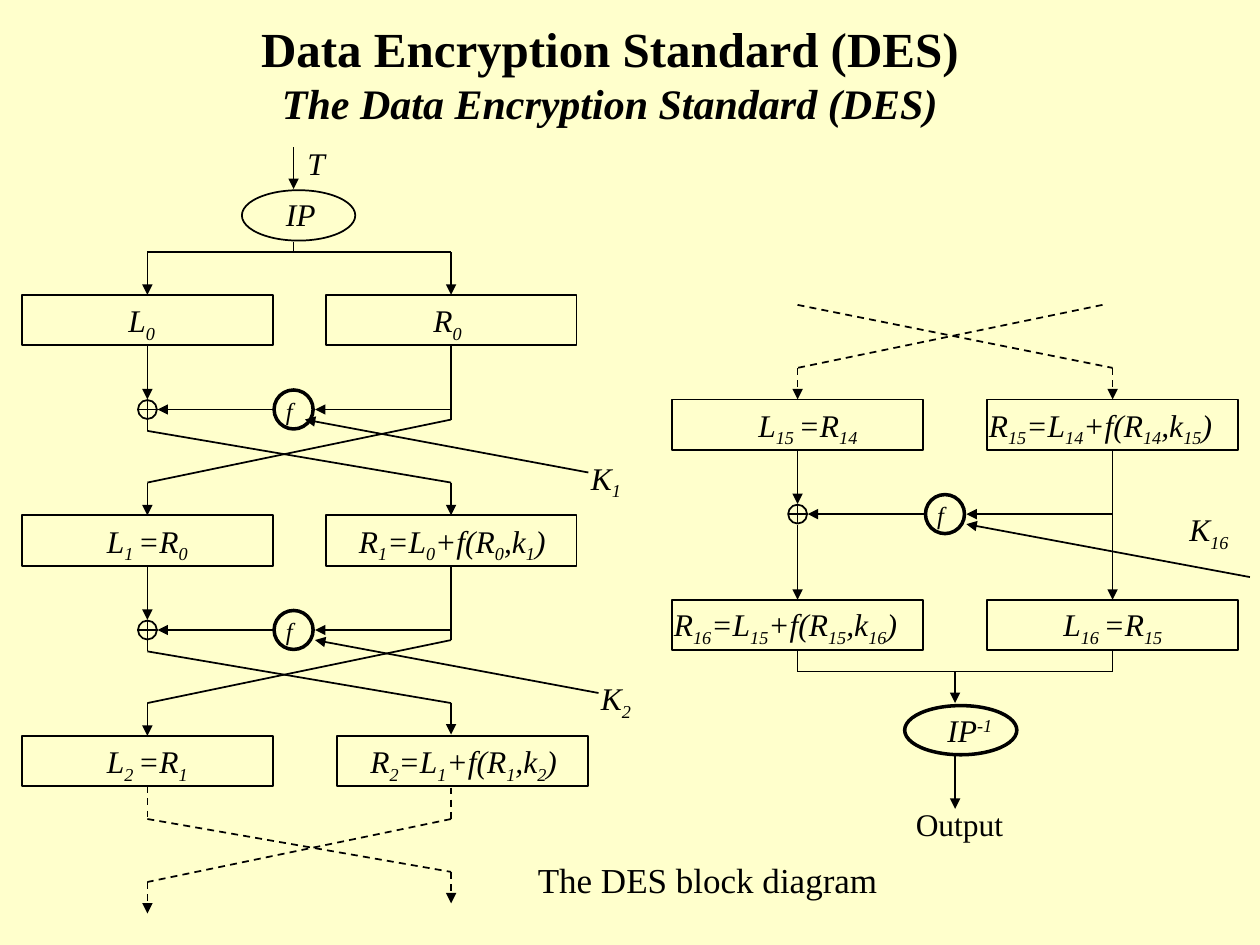
from dataclasses import dataclass
from itertools import pairwise

from lxml import etree
from pptx import Presentation
from pptx.dml.color import RGBColor
from pptx.enum import dml, shapes, text
from pptx.oxml import ns
from pptx.util import Inches, Pt


@dataclass(frozen=True)
class Theme:
    background: RGBColor = RGBColor(0xFF, 0xFF, 0xCC)
    ink: RGBColor = RGBColor(0, 0, 0)
    font: str = "Times New Roman"
    title: int = 28
    subtitle: int = 24
    caption: int = 20
    label: int = 18
    function: int = 14
    thin: int = 1
    thick: int = 2


THEME = Theme()
TOP, BOTTOM = 0, 2  # connection sites
BOX_W, BOX_H = 1.99, 0.4
LEFT_X, RIGHT_X, F_X = 1.17, 3.58, 2.33  # first rounds
LAST_LEFT_X, LAST_RIGHT_X, LAST_F_X = 6.33, 8.83, 7.5  # last round
ROUND_TOPS = (2.33, 4.08, 5.83)
LAST_TOP, SWAP_TOP = 3.16, 4.75


def style_run(run, size, bold=False, italic=False):
    font = run.font
    font.name, font.size = THEME.font, Pt(size)
    font.bold, font.italic = bold, italic
    font.color.rgb = THEME.ink


def add_label(slide, content, left, top, width, size=THEME.label, italic=True,
              shift=-25000):
    """Text in which every second part between underscores is shifted."""
    height = size * 1.15 / 72 + 0.1
    box = slide.shapes.add_textbox(*map(Inches, (left, top, width, height)))
    box.text_frame.word_wrap = True
    paragraph = box.text_frame.paragraphs[0]
    for index, part in enumerate(content.split("_")):
        if not part:
            continue
        run = paragraph.add_run()
        run.text = part
        style_run(run, size, italic=italic)
        if index % 2:
            run.font._element.set("baseline", str(shift))
    return paragraph


def add_outline(slide, kind, left, top, width, height, weight=THEME.thin):
    outline = slide.shapes.add_shape(
        kind, *map(Inches, (left, top, width, height)))
    outline.shadow.inherit = False
    outline.fill.background()
    outline.line.color.rgb = THEME.ink
    outline.line.width = Pt(weight)
    return outline


def add_block(slide, center, top):
    return add_outline(slide, shapes.MSO_SHAPE.RECTANGLE,
                       center - BOX_W / 2, top + 0.01, BOX_W, BOX_H)


def add_circle(slide, x, y, diameter, weight=THEME.thin):
    return add_outline(slide, shapes.MSO_SHAPE.OVAL, x - diameter / 2,
                       y - diameter / 2, diameter, diameter, weight)


def add_path(slide, *points, arrow=True, dashed=False, source=None, target=None):
    """Straight lines through the points, from source block to target block."""
    for start, end in pairwise(points):
        line = slide.shapes.add_connector(
            shapes.MSO_CONNECTOR.STRAIGHT, *map(Inches, (*start, *end)))
        line.line.color.rgb = THEME.ink
        line.line.width = Pt(THEME.thin)
        if dashed:
            line.line.dash_style = dml.MSO_LINE.DASH
        if source is not None and start == points[0]:
            line.begin_connect(source, BOTTOM)
        if end == points[-1]:
            if target is not None:
                line.end_connect(target, TOP)
            if arrow:
                etree.SubElement(line.get_or_add_ln(), ns.qn("a:tailEnd"),
                                 type="triangle")
        etree.SubElement(line._element.spPr, ns.qn("a:effectLst"))


def add_mixing(slide, left, right, f_x, y, key_tip):
    """Right half and key go through f and are added to the left half."""
    add_circle(slide, left, y, 0.15)
    add_path(slide, (left - 0.08, y), (left + 0.08, y), arrow=False)
    add_path(slide, (left, y - 0.08), (left, y + 0.08), arrow=False)
    add_circle(slide, f_x, y, 0.31, THEME.thick)
    add_label(slide, "f", f_x - 0.16, y - 0.16, 0.33, THEME.function)
    add_path(slide, (right, y), (f_x + 0.17, y))
    add_path(slide, (f_x - 0.16, y), (left + 0.08, y))
    add_path(slide, (key_tip + 2.25, y + 0.5), (key_tip, y + 0.08))


def add_round(slide, top, blocks, next_blocks, key, key_tip):
    """One round between two rows of blocks, with the halves swapped."""
    add_path(slide, (LEFT_X, top + 0.42), (LEFT_X, top + 0.84),
             source=blocks[0])
    add_mixing(slide, LEFT_X, RIGHT_X, F_X, top + 0.92, key_tip)
    add_label(slide, key, key_tip + 2.17, top + 1.26, 0.75)
    add_path(slide, (LEFT_X, top + 1), (LEFT_X, top + 1.09),
             (RIGHT_X, top + 1.5), (RIGHT_X, top + 1.75),
             target=next_blocks[1])
    add_path(slide, (RIGHT_X, top + 0.42), (RIGHT_X, top + 1),
             (LEFT_X, top + 1.5), (LEFT_X, top + 1.75),
             source=blocks[1], target=next_blocks[0])


def add_title(slide):
    title = slide.shapes.title
    title.left, title.top, title.width, title.height = map(
        Inches, (1.78, 0.1, 6.12, 0.96))
    frame = title.text_frame
    frame.text = ("Data Encryption Standard (DES)\n"
                  "The Data Encryption Standard (DES)")
    frame.word_wrap = False
    frame.auto_size = text.MSO_AUTO_SIZE.NONE
    frame.vertical_anchor = text.MSO_ANCHOR.TOP
    heading, subheading = frame.paragraphs
    for paragraph in frame.paragraphs:
        paragraph.alignment = text.PP_ALIGN.CENTER
    style_run(heading.runs[0], THEME.title, bold=True)
    style_run(subheading.runs[0], THEME.subtitle, bold=True, italic=True)


def add_first_rounds(slide):
    # Initial permutation
    add_path(slide, (F_X, 1.17), (F_X, 1.5))
    add_label(slide, "T", 2.34, 1.09, 0.75)
    add_outline(slide, shapes.MSO_SHAPE.OVAL, 1.92, 1.51, 0.9, 0.4)
    add_label(slide, "IP", 2.17, 1.5, 0.75)
    add_path(slide, (F_X, 1.92), (F_X, 2), arrow=False)
    add_path(slide, (LEFT_X, 2), (RIGHT_X, 2), arrow=False)

    # Halves after each round
    rows = [[add_block(slide, x, top) for x in (LEFT_X, RIGHT_X)]
            for top in ROUND_TOPS[:2]]
    last_left = add_block(slide, LEFT_X, ROUND_TOPS[2])
    add_block(slide, 3.67, ROUND_TOPS[2])
    rows.append([last_left, None])
    for content, left, row, width in (
            ("L_0_", 0.92, 0, 0.75), ("R_0_", 3.34, 0, 0.75),
            ("L_1 _=R_0_", 0.75, 1, 1.08),
            ("R_1_=L_0_+f(R_0_,k_1_)", 2.75, 1, 2.08),
            ("L_2 _=R_1_", 0.75, 2, 1.08),
            ("R_2_=L_1_+f(R_1_,k_2_)", 2.84, 2, 2.08)):
        add_label(slide, content, left, ROUND_TOPS[row] + 0.01, width)

    # Flow between the halves
    for x, block in zip((LEFT_X, RIGHT_X), rows[0]):
        add_path(slide, (x, 2), (x, 2.33), target=block)
    add_round(slide, ROUND_TOPS[0], rows[0], rows[1], "K_1_", 2.42)
    add_round(slide, ROUND_TOPS[1], rows[1], rows[2], "K_2_", 2.5)
    add_path(slide, (LEFT_X, 6.25), (LEFT_X, 6.5), (RIGHT_X, 6.92),
             (RIGHT_X, 7.17), dashed=True, source=last_left)
    add_path(slide, (RIGHT_X, 6.25), (RIGHT_X, 6.5), (LEFT_X, 7),
             (LEFT_X, 7.25), dashed=True)


def add_last_round(slide):
    left, right = LAST_LEFT_X, LAST_RIGHT_X
    (l15, r15), (r16, l16) = [
        [add_block(slide, x, top) for x in (left, right)]
        for top in (LAST_TOP, SWAP_TOP)]
    for content, x, y, width in (
            ("L_15 _=R_14_", 5.92, 3.17, 1.08),
            ("R_15_=L_14_+f(R_14_,k_15_)", 7.75, 3.17, 2.16),
            ("R_16_=L_15_+f(R_15_,k_16_)", 5.25, 4.75, 2.33),
            ("L_16 _=R_15_", 8.34, 4.75, 1.08),
            ("K_16_", 9.34, 4, 0.58)):
        add_label(slide, content, x, y, width)

    # Flow through round 16
    add_path(slide, (left, 2.42), (right, 2.92), (right, 3.17),
             dashed=True, target=r15)
    add_path(slide, (8.75, 2.42), (left, 2.92), (left, 3.17),
             dashed=True, target=l15)
    add_path(slide, (left, 3.58), (left, 4), source=l15)
    add_mixing(slide, left, right, LAST_F_X, 4.08, 7.67)
    add_path(slide, (left, 4.17), (left, 4.75), target=r16)
    add_path(slide, (right, 3.58), (right, 4.75), source=r15, target=l16)

    # Inverse permutation and output
    for x, block in ((left, r16), (right, l16)):
        add_path(slide, (x, 5.17), (x, 5.33), arrow=False, source=block)
    add_path(slide, (left, 5.33), (right, 5.33), arrow=False)
    middle = (left + right) / 2
    add_path(slide, (middle, 5.33), (middle, 5.58))
    add_outline(slide, shapes.MSO_SHAPE.OVAL, 7.18, 5.6, 0.89, 0.39, THEME.thick)
    add_label(slide, "IP_-1_", 7.42, 5.59, 0.75, shift=30000)
    add_path(slide, (middle, 6), (middle, 6.42))
    add_label(slide, "Output", 7.17, 6.34, 1, italic=False)


def main():
    deck = Presentation()
    deck.slide_width, deck.slide_height = Inches(10), Inches(7.5)
    slide = deck.slides.add_slide(deck.slide_layouts[5])
    slide.background.fill.solid()
    slide.background.fill.fore_color.rgb = THEME.background
    add_title(slide)
    add_first_rounds(slide)
    add_last_round(slide)
    caption = add_label(slide, "The DES block diagram", 4.17, 6.84, 4.33,
                        THEME.caption, italic=False)
    caption.line_spacing = 0.75
    deck.save("out.pptx")


if __name__ == "__main__":
    main()
